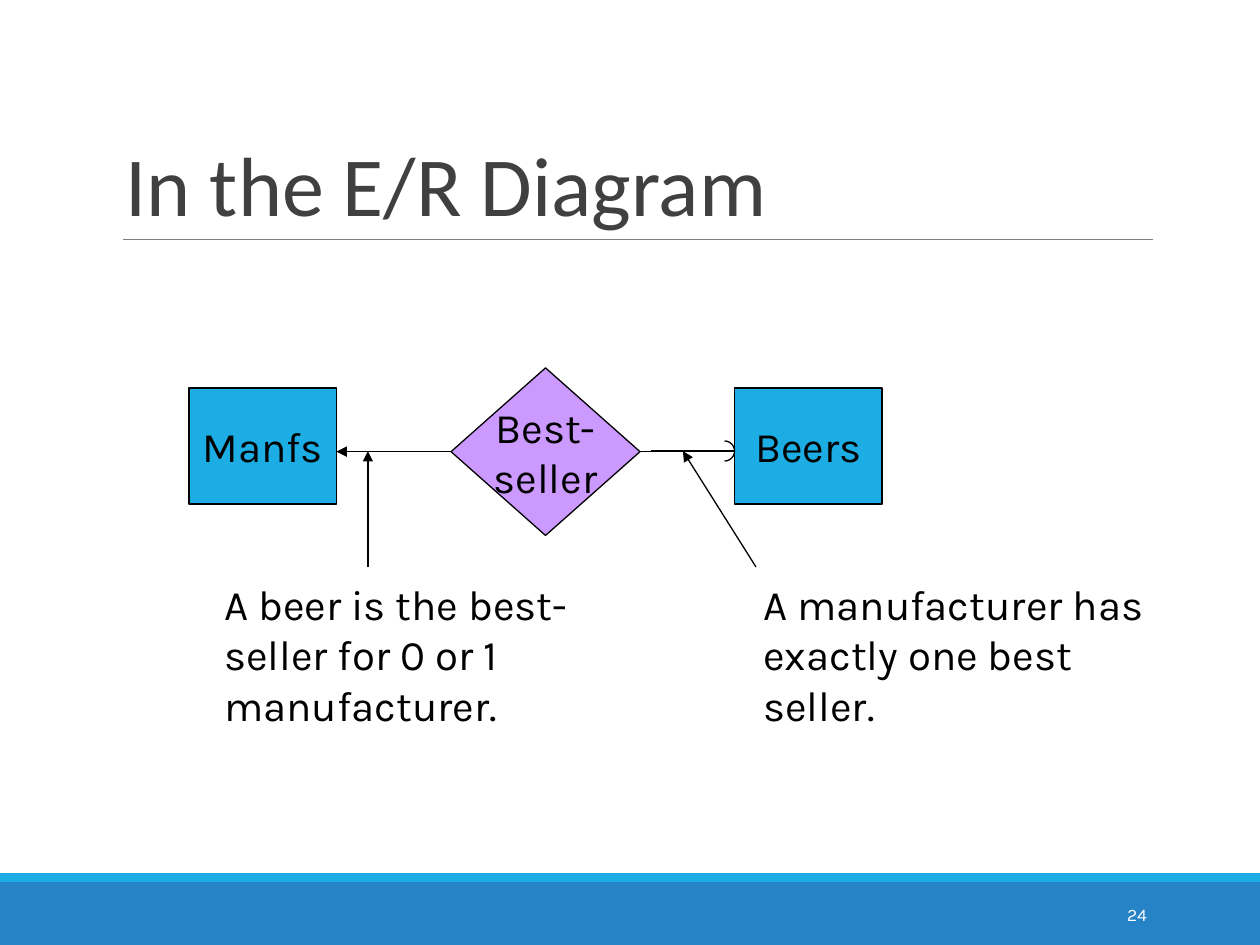
"""Build a slide showing one-to-one relationships in an E/R diagram."""
import math
from dataclasses import dataclass
from typing import Optional

import pptx
import pptx.dml.color
import pptx.enum.shapes
import pptx.enum.text
import pptx.oxml
import pptx.oxml.ns
import pptx.util

Inches = pptx.util.Inches
Pt = pptx.util.Pt
RGBColor = pptx.dml.color.RGBColor
Shape = pptx.enum.shapes.MSO_SHAPE
Anchor = pptx.enum.text.MSO_ANCHOR
Align = pptx.enum.text.PP_ALIGN

BLACK = RGBColor(0x00, 0x00, 0x00)
WHITE = RGBColor(0xFF, 0xFF, 0xFF)
DARK_GRAY = RGBColor(0x40, 0x40, 0x40)
RULE_GRAY = RGBColor(0x7F, 0x7F, 0x7F)
BLUE = RGBColor(0x26, 0x83, 0xC6)
SKY = RGBColor(0x1C, 0xAD, 0xE4)
LILAC = RGBColor(0xCC, 0x99, 0xFF)

AXIS = 3.58


@dataclass(frozen=True)
class Block:
    left: float
    top: float
    width: float
    height: float
    fill: RGBColor
    kind: Shape = Shape.RECTANGLE
    lines: tuple[str, ...] = ()
    outlined: bool = False


@dataclass(frozen=True)
class Label:
    left: float
    top: float
    width: float
    height: float
    lines: tuple[str, ...]
    size: float = 24
    font: str = "Karla"
    color: RGBColor = BLACK
    anchor: Anchor = Anchor.TOP
    align: Align = Align.LEFT
    spacing: Optional[float] = None
    wrap: bool = False


@dataclass(frozen=True)
class Line:
    start: tuple[float, float]
    end: tuple[float, float]
    arrow: bool = False
    color: RGBColor = BLACK
    weight: float = 0.75
    diamond_site: Optional[int] = None


BANDS = (Block(0, 7, 10, 0.5, BLUE), Block(0, 6.93, 10, 0.07, SKY))
ENTITIES = tuple(
    Block(left, 3.08, 1.17, 0.92, SKY, lines=(name,), outlined=True)
    for left, name in ((1.5, "Manfs"), (5.83, "Beers"))
)
RELATIONSHIP = Block(3.58, 2.92, 1.5, 1.33, LILAC, Shape.DIAMOND, ("Best-", "seller"), True)
LABELS = (
    Label(0.9, 0.31, 8.25, 1.59, ("In the E/R Diagram",), 48, "Calibri", DARK_GRAY,
          Anchor.BOTTOM, spacing=0.85, wrap=True),
    Label(8.12, 7.06, 1.08, 0.4, ("24",), 10, color=WHITE,
          anchor=Anchor.MIDDLE, align=Align.RIGHT, wrap=True),
    Label(5.96, 4.54, 3.3, 1.3, ("A manufacturer has", "exactly one best", "seller.")),
    Label(1.68, 4.54, 3.02, 1.3, ("A beer is the best-", "seller for 0 or 1", "manufacturer.")),
)
LINES = (
    Line((0.98, 1.9), (9.15, 1.9), color=RULE_GRAY, weight=0.5),
    Line((5.17, AXIS), (5.83, AXIS)),
    Line((3.58, AXIS), (2.67, AXIS), arrow=True, diamond_site=1),
    Line((5.08, AXIS), (5.17, AXIS), diamond_site=3),
    Line((6, 4.5), (5.42, AXIS), arrow=True),
    Line((2.92, 4.5), (2.92, AXIS), arrow=True),
)


def write_lines(frame, lines: tuple[str, ...], size: float, font: str, color: RGBColor,
                align: Align, spacing: Optional[float] = None) -> None:
    for index, line in enumerate(lines):
        para = frame.paragraphs[0] if index == 0 else frame.add_paragraph()
        para.text = line
        para.alignment = align
        para.line_spacing = spacing
        para.font.size = Pt(size)
        para.font.name = font
        para.font.color.rgb = color


def draw_block(page, block: Block):
    shape = page.shapes.add_shape(block.kind, Inches(block.left), Inches(block.top),
                                  Inches(block.width), Inches(block.height))
    shape.shadow.inherit = False
    shape.fill.solid()
    shape.fill.fore_color.rgb = block.fill
    if block.outlined:
        shape.line.color.rgb = BLACK
        shape.line.width = Pt(0.75)
    else:
        shape.line.fill.background()
    if block.lines:
        frame = shape.text_frame
        frame.word_wrap = False
        frame.vertical_anchor = Anchor.MIDDLE
        write_lines(frame, block.lines, 24, "Karla", BLACK, Align.CENTER)
    return shape


def draw_label(page, label: Label) -> None:
    box = page.shapes.add_textbox(Inches(label.left), Inches(label.top),
                                  Inches(label.width), Inches(label.height))
    frame = box.text_frame
    frame.word_wrap = label.wrap
    frame.vertical_anchor = label.anchor
    write_lines(frame, label.lines, label.size, label.font, label.color,
                label.align, label.spacing)


def draw_line(page, line: Line, diamond) -> None:
    connector = page.shapes.add_connector(
        pptx.enum.shapes.MSO_CONNECTOR.STRAIGHT,
        *(Inches(value) for value in line.start + line.end))
    if line.diamond_site is not None:
        connector.begin_connect(diamond, line.diamond_site)
        connector.end_y = connector.begin_y
    connector.line.color.rgb = line.color
    connector.line.width = Pt(line.weight)
    if line.arrow:
        tail = pptx.oxml.parse_xml(
            f'<a:tailEnd {pptx.oxml.ns.nsdecls("a")} type="triangle"/>')
        connector.line._get_or_add_ln().append(tail)
    connector._element.spPr.append(
        pptx.oxml.parse_xml(f'<a:effectLst {pptx.oxml.ns.nsdecls("a")}/>'))


def draw_round_arrowhead(page) -> None:
    angles = [math.pi * step / 12 for step in range(13)]
    points = [(Inches(5.75 + 0.08 * math.sin(angle)), Inches(AXIS - 0.08 * math.cos(angle)))
              for angle in angles]
    builder = page.shapes.build_freeform(*points[0])
    builder.add_line_segments(points[1:], close=False)
    arc = builder.convert_to_shape()
    arc.shadow.inherit = False
    arc.fill.background()
    arc.line.color.rgb = BLACK
    arc.line.width = Pt(0.75)


def main() -> None:
    deck = pptx.Presentation()
    deck.slide_width, deck.slide_height = Inches(10), Inches(7.5)
    page = deck.slides.add_slide(deck.slide_layouts[6])
    for block in BANDS + ENTITIES:
        draw_block(page, block)
    diamond = draw_block(page, RELATIONSHIP)
    for line in LINES:
        draw_line(page, line, diamond)
    draw_round_arrowhead(page)
    for label in LABELS:
        draw_label(page, label)
    deck.save("out.pptx")


if __name__ == "__main__":
    main()
